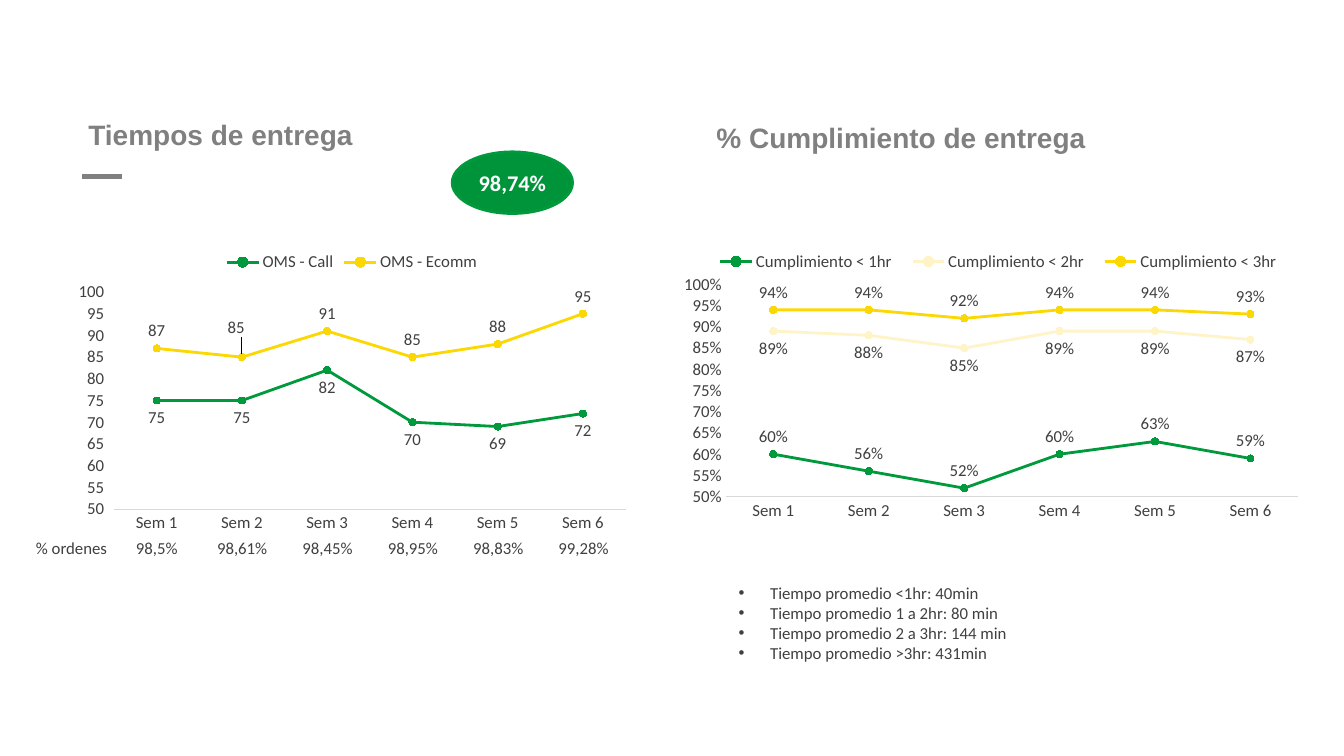
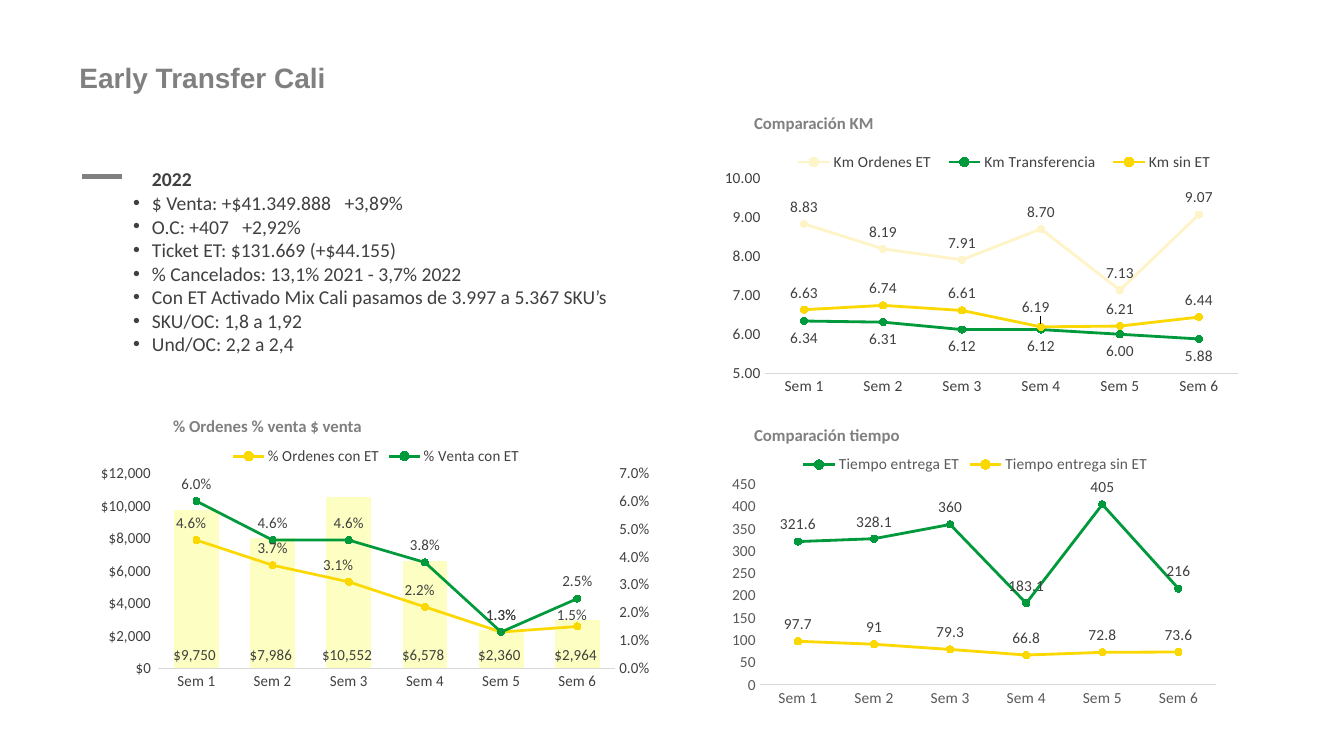
from dataclasses import dataclass, field
from typing import NamedTuple

from pptx import Presentation
from pptx.chart.axis import ValueAxis
from pptx.chart.data import CategoryChartData
from pptx.dml.color import RGBColor as Rgb
from pptx.enum.chart import XL_CHART_TYPE as ChartType, XL_LABEL_POSITION as LabelPos
from pptx.enum.chart import XL_LEGEND_POSITION as LegendPos, XL_MARKER_STYLE as Marker
from pptx.enum.chart import XL_TICK_MARK as Tick
from pptx.enum.shapes import MSO_CONNECTOR as Connector, MSO_SHAPE as Shape
from pptx.enum.text import MSO_ANCHOR as Anchor, MSO_AUTO_SIZE as AutoSize, PP_ALIGN as Align
from pptx.oxml import parse_xml
from pptx.oxml.ns import nsdecls
from pptx.oxml.xmlchemy import OxmlElement
from pptx.util import Pt


@dataclass(frozen=True)
class Theme:
    """Colours, fonts and type sizes shared by the slides."""
    green: str = "00993C"
    badge: str = "00943A"
    yellow: str = "FCD802"
    cream: str = "FFF3C8"
    lemon: str = "FCFEC2"
    grey: str = "808080"
    ink: str = "404040"
    soft: str = "595959"
    rule: str = "D9D9D9"
    white: str = "FFFFFF"
    head_font: str = "Arial"
    body_font: str = "Calibri"
    title: int = 20
    large: int = 16
    list: int = 14
    body: int = 12
    small: int = 11


THEME = Theme()
WEEKS = [f"Sem {week}" for week in range(1, 7)]
MONEY = '"$"#,##0_);[Red]\\("$"#,##0\\)'


class Box(NamedTuple):
    """A rectangle in points."""
    left: float
    top: float
    width: float
    height: float

    def inner(self, dx, dy, width, height):
        """Return a box offset from this one's corner."""
        return Box(self.left + dx, self.top + dy, width, height)

    def lengths(self):
        """Return the four lengths as Pt values."""
        return [Pt(value) for value in self]


class Scale(NamedTuple):
    """Range, step and number format of a value axis."""
    low: float
    high: float
    step: float
    code: str = "General"


@dataclass
class Line:
    """One data series; nudges shift single labels by chart fractions."""
    name: str
    values: list
    color: str
    above: bool = True
    nudges: dict = field(default_factory=dict)


@dataclass
class ChartSpec:
    """Content and format of one chart; a right scale makes it combined."""
    lines: list
    scale: Scale
    size: int = THEME.small
    color: str = THEME.ink
    plot: tuple = None
    legend: tuple = None
    tick: Tick = Tick.NONE
    right: Scale = None


def assign(target, formats):
    """Set each attribute in the dict on the target."""
    for name, value in formats.items():
        setattr(target, name, value)


def set_font(font, size, color, bold=False, name=THEME.body_font):
    """Format a font."""
    assign(font, {"size": Pt(size), "bold": bold, "name": name})
    font.color.rgb = Rgb.from_string(color)


def write(para, text, **font):
    """Write one formatted run in a paragraph."""
    span = para.add_run()
    span.text = text
    set_font(span.font, **font)


def add_text(page, box, text, **font):
    """Add a wrapping text box with one paragraph."""
    frame = page.shapes.add_textbox(*box.lengths()).text_frame
    frame.word_wrap = True
    write(frame.paragraphs[0], text, **font)
    return frame


def add_bullets(frame, items, indent, size):
    """Append bulleted paragraphs; an item may carry a tab stop in points."""
    for text, stop in items:
        para = frame.add_paragraph() if frame.text else frame.paragraphs[0]
        write(para, text, size=size, color=THEME.ink)
        props = para._p.get_or_add_pPr()
        props.set("marL", str(Pt(indent)))
        props.set("indent", str(-Pt(indent)))
        font = OxmlElement("a:buFont")
        font.set("typeface", THEME.head_font)
        bullet = OxmlElement("a:buChar")
        bullet.set("char", "•")
        props.extend([font, bullet])
        if stop:
            props.append(parse_xml(f'<a:tabLst {nsdecls("a")}><a:tab pos="{Pt(stop)}" algn="l"/></a:tabLst>'))


def style_title(frame, text):
    """Give a text frame the heading style."""
    assign(frame, {"word_wrap": True, "auto_size": AutoSize.NONE, "vertical_anchor": Anchor.BOTTOM})
    para = frame.paragraphs[0]
    assign(para, {"alignment": Align.LEFT, "line_spacing": 0.9})
    write(para, text, size=THEME.title, color=THEME.grey, bold=True, name=THEME.head_font)


def add_page(deck, box, title):
    """Add a title-only slide and place its title."""
    page = deck.slides.add_slide(deck.slide_layouts[5])
    holder = page.shapes.title
    assign(holder, dict(zip(("left", "top", "width", "height"), box.lengths())))
    style_title(holder.text_frame, title)
    return page


def add_dash(page):
    """Put the grey dash on the page's layout, shared by every slide."""
    dash = page.shapes.add_connector(Connector.STRAIGHT, Pt(58.5), Pt(126), Pt(87), Pt(126))
    dash.line.color.rgb = Rgb.from_string(THEME.grey)
    dash.line.width = Pt(3)
    dash.element.spPr.append(OxmlElement("a:effectLst"))
    page.slide_layout.shapes.element.append(dash.element)


def manual_layout(x, y, width=None, height=None, inner=False):
    """Build a chart layout element; without a size it is an offset."""
    target = '<c:layoutTarget val="inner"/>' if inner else ""
    modes = '<c:xMode val="edge"/><c:yMode val="edge"/>' if width else ""
    size = f'<c:w val="{width}"/><c:h val="{height}"/>' if width else ""
    return parse_xml(f'<c:layout {nsdecls("c")}><c:manualLayout>{target}{modes}'
                     f'<c:x val="{x}"/><c:y val="{y}"/>{size}</c:manualLayout></c:layout>')


def replace_layout(parent, index, layout):
    """Swap the layout element of a chart part."""
    for old in parent.xpath("./c:layout"):
        parent.remove(old)
    parent.insert(index, layout)


def style_scale(axis, scale, tick):
    """Format a value axis."""
    assign(axis, {"minimum_scale": scale.low, "maximum_scale": scale.high, "major_unit": scale.step,
                  "has_major_gridlines": False, "major_tick_mark": tick})
    assign(axis.tick_labels, {"number_format": scale.code, "number_format_is_linked": False})
    axis.format.line.fill.background()


def move_to_lines(chart, scale):
    """Turn all series but the first into lines on a right axis."""
    bars = chart.element.xpath("//c:barChart")[0]
    lines = parse_xml(f'<c:lineChart {nsdecls("c")}><c:grouping val="standard"/><c:varyColors val="0"/>'
                      '<c:marker val="1"/><c:axId val="501"/><c:axId val="502"/></c:lineChart>')
    for place, series in enumerate(bars.xpath("./c:ser")[1:], 2):
        for flag in series.xpath("./c:invertIfNegative"):
            series.remove(flag)
        lines.insert(place, series)
    bars.addnext(lines)
    axis_xml = ('<c:{kind} {ns}><c:axId val="{own}"/><c:scaling><c:orientation val="minMax"/></c:scaling>'
                '<c:delete val="{hidden}"/><c:axPos val="{side}"/><c:majorTickMark val="none"/>'
                '<c:minorTickMark val="none"/><c:tickLblPos val="nextTo"/><c:crossAx val="{other}"/>'
                '<c:crosses val="{crosses}"/></c:{kind}>')
    last = chart.element.xpath("//c:valAx")[0]
    right, hidden = (parse_xml(axis_xml.format(kind=kind, ns=nsdecls("c"), own=own, other=other,
                                               hidden=off, side=side, crosses=crosses))
                     for kind, own, other, off, side, crosses in (
                         ("valAx", 502, 501, 0, "r", "max"), ("catAx", 501, 502, 1, "b", "autoZero")))
    last.addnext(right)
    right.addnext(hidden)
    style_scale(ValueAxis(right), scale, Tick.NONE)
    legend = chart.element.xpath("//c:legend")[0]
    legend.insert(1, parse_xml(f'<c:legendEntry {nsdecls("c")}><c:idx val="0"/><c:delete val="1"/></c:legendEntry>'))


def style_series(chart, series, line, code, size, column):
    """Format a series and its labels."""
    color = Rgb.from_string(line.color)
    labels = series.data_labels
    above = LabelPos.ABOVE if line.above else LabelPos.BELOW
    position = LabelPos.INSIDE_BASE if column else above
    assign(labels, {"show_value": True, "position": position, "number_format": code,
                    "number_format_is_linked": False})
    set_font(labels.font, size, THEME.ink)
    if column:
        series.format.fill.solid()
        series.format.fill.fore_color.rgb = color
        return
    series.smooth = False
    series.format.line.width = Pt(2)
    assign(series.marker, {"style": Marker.CIRCLE, "size": 5})
    series.marker.format.fill.solid()
    for target in (series.format.line.color, series.marker.format.fill.fore_color,
                   series.marker.format.line.color):
        target.rgb = color
    for index, shift in line.nudges.items():
        label = series.points[index].data_label
        label.position = position
        set_font(label.font, size, THEME.ink)
        query = f"//c:ser[c:idx/@val='{series.index}']//c:dLbl[c:idx/@val='{index}']"
        chart.element.xpath(query)[0].insert(1, manual_layout(*shift))


def add_chart(page, box, spec):
    """Draw a line chart, or columns with lines, in the box."""
    data = CategoryChartData()
    data.categories = WEEKS
    codes = [spec.right.code if spec.right and place else spec.scale.code for place in range(len(spec.lines))]
    for line, code in zip(spec.lines, codes):
        data.add_series(line.name, line.values, code)
    kind = ChartType.COLUMN_CLUSTERED if spec.right else ChartType.LINE_MARKERS
    chart = page.shapes.add_chart(kind, *box.lengths(), data).chart
    assign(chart, {"has_title": False, "has_legend": True})
    set_font(chart.font, spec.size, spec.color)
    assign(chart.legend, {"position": LegendPos.TOP, "include_in_layout": False})
    axis = chart.category_axis
    assign(axis, {"major_tick_mark": Tick.NONE, "has_major_gridlines": False})
    axis.format.line.color.rgb = Rgb.from_string(THEME.rule)
    axis.format.line.width = Pt(0.75)
    style_scale(chart.value_axis, spec.scale, spec.tick)
    if spec.plot:
        replace_layout(chart.element.xpath("//c:plotArea")[0], 0, manual_layout(*spec.plot, inner=True))
    if spec.legend:
        replace_layout(chart.element.xpath("//c:legend")[0], 1, manual_layout(*spec.legend))
    if spec.right:
        chart.plots[0].gap_width = 70
        move_to_lines(chart, spec.right)
    for plot in chart.plots:
        plot.vary_by_categories = False
    for place, (series, line) in enumerate(zip(chart.series, spec.lines)):
        style_series(chart, series, line, codes[place], spec.size, spec.right and place == 0)


def add_order_row(page, box, cells):
    """Add the one-row table that lines up with the weeks."""
    table = page.shapes.add_table(1, len(cells), *box.lengths()).table
    assign(table, {"first_row": False, "horz_banding": False})
    for place, text in enumerate(cells):
        table.columns[place].width = Pt(61 if place else box.width - 61 * len(WEEKS))
        cell = table.cell(0, place)
        cell.fill.background()
        assign(cell, {"margin_left": 0, "margin_right": 0 if place else Pt(5), "vertical_anchor": Anchor.MIDDLE})
        para = cell.text_frame.paragraphs[0]
        para.alignment = Align.CENTER if place else Align.RIGHT
        write(para, text, size=THEME.body, color=THEME.ink)


def delivery_times(page, box):
    """Place the delivery time region."""
    style_title(page.shapes.add_textbox(*box.inner(37.5, 0, 244, 29).lengths()).text_frame, "Tiempos de entrega")
    badge = page.shapes.add_shape(Shape.OVAL, *box.inner(304.5, 26, 86, 44).lengths())
    badge.shadow.inherit = False
    badge.fill.solid()
    badge.fill.fore_color.rgb = Rgb.from_string(THEME.badge)
    badge.line.color.rgb = Rgb.from_string(THEME.green)
    badge.line.width = Pt(2)
    frame = badge.text_frame
    assign(frame, {"margin_left": Pt(3), "margin_right": Pt(3), "vertical_anchor": Anchor.MIDDLE})
    frame.paragraphs[0].alignment = Align.CENTER
    write(frame.paragraphs[0], "98,74%", size=THEME.large, color=THEME.white, bold=True)
    add_chart(page, box.inner(29.5, 89.5, 407, 213), ChartSpec([
        Line("OMS - Call", [75, 75, 82, 70, 69, 72], THEME.green, above=False),
        Line("OMS - Ecomm", [87, 85, 91, 85, 88, 95], THEME.yellow, nudges={1: (-0.01, -0.04)}),
    ], Scale(50, 100, 5, "0"), size=THEME.body, tick=Tick.OUTSIDE))
    add_order_row(page, box.inner(0, 298.5, 429, 22),
                  ["% ordenes", "98,5%", "98,61%", "98,45%", "98,95%", "98,83%", "99,28%"])


def compliance(page, box):
    """Place the compliance chart and its average times."""
    add_chart(page, box.inner(0, 0, 487, 205), ChartSpec([
        Line("Cumplimiento < 1hr", [0.6, 0.56, 0.52, 0.6, 0.63, 0.59], THEME.green),
        Line("Cumplimiento < 2hr", [0.89, 0.88, 0.85, 0.89, 0.89, 0.87], THEME.cream, above=False),
        Line("Cumplimiento < 3hr", [0.94, 0.94, 0.92, 0.94, 0.94, 0.93], THEME.yellow),
    ], Scale(0.5, 1, 0.05, "0%"), size=THEME.body, plot=(0.13, 0.13, 0.84, 0.74), legend=(0.1, 0, 0.86, 0.1)))
    frame = page.shapes.add_textbox(*box.inner(65.5, 236, 318, 65.5).lengths()).text_frame
    frame.word_wrap = True
    averages = ("<1hr: 40min", "1 a 2hr: 80 min", "2 a 3hr: 144 min", ">3hr: 431min")
    add_bullets(frame, [(f"Tiempo promedio {text}", None) for text in averages], 22.5, THEME.body)


def titled_chart(page, box, title, offset, spec):
    """Place a chart with its small heading just above."""
    add_chart(page, box, spec)
    add_text(page, box.inner(offset, -17.5, 176, 24), title, size=THEME.body, color=THEME.grey, bold=True)


def year_summary(page, box):
    """Place the list of yearly results."""
    frame = add_text(page, box, "2022", size=THEME.list, color=THEME.ink, bold=True)
    frame.paragraphs[0]._p.get_or_add_pPr().set("marL", str(Pt(13.5)))
    add_bullets(frame, [
        ("$ Venta: +$41.349.888\t+3,89%", 151), ("O.C: +407\t+2,92%", 78),
        ("Ticket ET: $131.669 (+$44.155)", None), ("% Cancelados: 13,1% 2021 - 3,7% 2022", None),
        ("Con ET Activado Mix Cali pasamos de 3.997 a 5.367 SKU’s", None),
        ("SKU/OC: 1,8 a 1,92", None), ("Und/OC: 2,2 a 2,4", None)], 13.5, THEME.list)


def transfer_charts(page):
    """Place the three charts of the transfer slide."""
    titled_chart(page, Box(508.5, 94.5, 376.5, 193.5), "Comparación KM", 23, ChartSpec([
        Line("Km Ordenes ET", [8.83, 8.19, 7.91, 8.7, 7.13, 9.07], THEME.cream),
        Line("Km Transferencia", [6.34, 6.31, 6.12, 6.12, 6, 5.88], THEME.green, above=False),
        Line("Km sin ET", [6.63, 6.74, 6.61, 6.19, 6.21, 6.44], THEME.yellow, nudges={3: (-0.01, -0.01)}),
    ], Scale(5, 10, 1, "0.00"), plot=(0.12, 0.17, 0.9, 0.72), legend=(0.14, 0.06, 0.83, 0.1)))
    titled_chart(page, Box(72, 311, 392, 193.5), "% Ordenes % venta $ venta", 44.5, ChartSpec([
        Line("$ venta", [9750, 7986, 10552, 6578, 2360, 2964], THEME.lemon),
        Line("% Ordenes con ET", [0.046, 0.037, 0.031, 0.022, 0.013, 0.015], THEME.yellow,
             nudges={0: (-0.01, 0), 2: (-0.02, 0), 3: (-0.01, 0), 5: (-0.01, 0.02)}),
        Line("% Venta con ET", [0.06, 0.046, 0.046, 0.038, 0.013, 0.025], THEME.green),
    ], Scale(0, 12000, 2000, MONEY), plot=(0.09, 0.14, 0.86, 0.72), right=Scale(0, 0.07, 0.01, "0.0%")))
    titled_chart(page, Box(513.5, 317, 366.5, 193.5), "Comparación tiempo", 18, ChartSpec([
        Line("Tiempo entrega ET", [321.6, 328.1, 360, 183.1, 405, 216], THEME.green),
        Line("Tiempo entrega sin ET", [97.7, 91, 79.3, 66.8, 72.8, 73.6], THEME.yellow),
    ], Scale(0, 450, 50), color=THEME.soft, plot=(0.08, 0.15, 0.89, 0.74)))


def main():
    """Build and save the deck."""
    deck = Presentation()
    assign(deck, {"slide_width": Pt(960), "slide_height": Pt(540)})
    page = add_page(deck, Box(504.5, 85, 350.5, 29), "% Cumplimiento de entrega")
    add_dash(page)
    delivery_times(page, Box(18.5, 82.5, 437, 320))
    compliance(page, Box(455, 176.5, 487, 302))
    page = add_page(deck, Box(49.5, 34, 377.5, 37), "Early Transfer Cali")
    year_summary(page, Box(88, 116, 392, 179))
    transfer_charts(page)
    deck.save("out.pptx")


if __name__ == "__main__":
    main()
